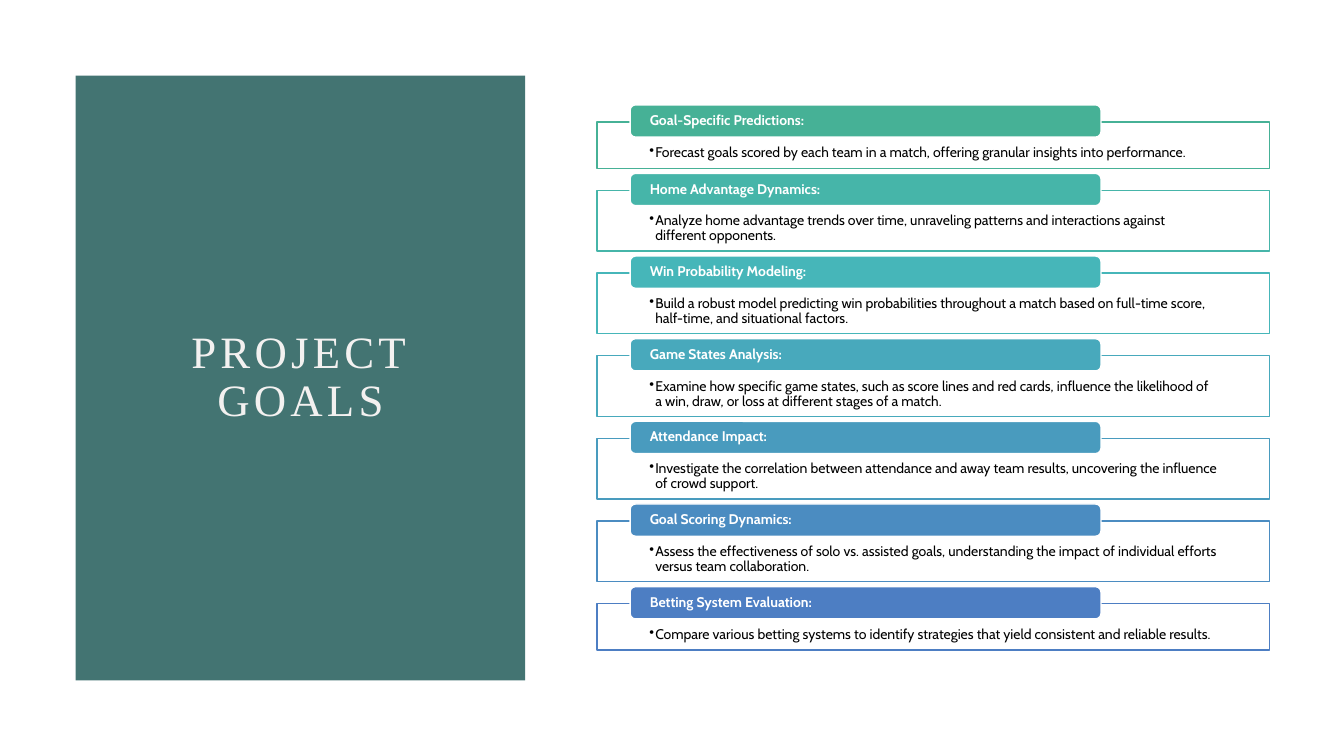
from lxml import etree
from pptx import Presentation
from pptx import util as u
from pptx.dml.color import RGBColor
from pptx.enum import shapes, text
from pptx.oxml.ns import qn

PX = 9144
KIND = shapes.MSO_SHAPE
WIDE, GAP, RISE = 667, 22, 17
GOALS = [
    ("46B196", 46, "Goal-Specific Predictions:",
     "Forecast goals scored by each team in a match, offering granular insights into performance."),
    ("46B5A9", 60, "Home Advantage Dynamics:",
     "Analyze home advantage trends over time, unraveling patterns and interactions against different opponents."),
    ("46B6B9", 60, "Win Probability Modeling:",
     "Build a robust model predicting win probabilities throughout a match based on full-time score, "
     "half-time, and situational factors."),
    ("48A9BC", 60, "Game States Analysis:",
     "Examine how specific game states, such as score lines and red cards, influence the likelihood of "
     "a win, draw, or loss at different stages of a match."),
    ("499BBE", 60, "Attendance Impact:",
     "Investigate the correlation between attendance and away team results, uncovering the influence "
     "of crowd support."),
    ("4B8CC1", 60, "Goal Scoring Dynamics:",
     "Assess the effectiveness of solo vs. assisted goals, understanding the impact of individual efforts "
     "versus team collaboration."),
    ("4D7EC3", 46, "Betting System Evaluation:",
     "Compare various betting systems to identify strategies that yield consistent and reliable results."),
]


def tint(code):
    return RGBColor.from_string(code)


def px(num):
    return u.Emu(num * PX)


def put(item, **vals):
    for key, val in vals.items():
        setattr(item, key, val)


class Deck:
    """Holds the style and the current slide, and draws its elements."""

    def __init__(self, wide, high):
        self.font = "Cabin"
        self.size = 10
        self.file = Presentation()
        put(self.file, slide_width=px(wide), slide_height=px(high))
        self.page = self.file.slides.add_slide(self.file.slide_layouts[5])

    def title(self, words, left, top, wide, high):
        head = self.page.shapes.title
        put(head, left=px(left), top=px(top), width=px(wide), height=px(high))
        put(head.text_frame, text=words, word_wrap=True,
            auto_size=text.MSO_AUTO_SIZE.NONE, vertical_anchor=text.MSO_ANCHOR.MIDDLE)
        para = head.text_frame.paragraphs[0]
        put(para, alignment=text.PP_ALIGN.CENTER, line_spacing=0.9)
        font = para.runs[0].font
        put(font, name="Times New Roman", size=u.Pt(32))
        font.color.rgb = tint("F3F1F0")
        para.runs[0]._r.get_or_add_rPr().set("spc", "300")

    def shape(self, kind, left, top, wide, high, fill, line=None):
        item = self.page.shapes.add_shape(kind, px(left), px(top), px(wide), px(high))
        item.shadow.inherit = False
        item.fill.solid()
        item.fill.fore_color.rgb = tint(fill)
        if line:
            item.line.color.rgb = tint(line)
            item.line.width = u.Pt(1)
        else:
            item.line.fill.background()
        return item

    def panel(self, *area, fill):
        item = self.shape(KIND.RECTANGLE, *area, fill)
        self.page.shapes._spTree.insert(2, item._element)

    def label(self, item, words, hue, pad, anchor, bold=False, dot=False):
        frame = item.text_frame
        left, top, low = pad
        put(frame, text=words, word_wrap=True, vertical_anchor=anchor,
            margin_left=px(left), margin_right=px(left), margin_top=px(top), margin_bottom=px(low))
        para = frame.paragraphs[0]
        put(para, alignment=text.PP_ALIGN.LEFT, line_spacing=0.9)
        if dot:
            para.level = 1
            props = para._p.get_or_add_pPr()
            props.set("marL", str(px(6)))
            props.set("indent", str(-px(6)))
            etree.SubElement(props, qn("a:buChar"), char="•")
        put(para.font, name=self.font, size=u.Pt(self.size), bold=bold)
        para.font.color.rgb = tint(hue)

    def goal(self, left, top, high, hue, name, note):
        box = self.shape(KIND.RECTANGLE, left, top, WIDE, high, "FFFFFF", hue)
        shade = box._element.spPr.find(qn("a:solidFill"))[0]
        etree.SubElement(shade, qn("a:alpha"), val="90000")
        self.label(box, note, "000000", (52, 23, 8), text.MSO_ANCHOR.TOP, dot=True)
        tab = self.shape(KIND.ROUNDED_RECTANGLE, left + 33, top - RISE, 467, 32, hue, "FFFFFF")
        self.label(tab, name, "FFFFFF", (18, 0, 0), text.MSO_ANCHOR.MIDDLE, bold=True)


def main():
    deck = Deck(1333, 750)
    deck.panel(75, 75, 446, 600, fill="437472")
    deck.title("PROJECT GOALS", 150, 150, 296, 450)
    top = 121
    for hue, high, name, note in GOALS:
        deck.goal(592, top, high, hue, name, note)
        top += high + GAP
    deck.file.save("out.pptx")


if __name__ == "__main__":
    main()
